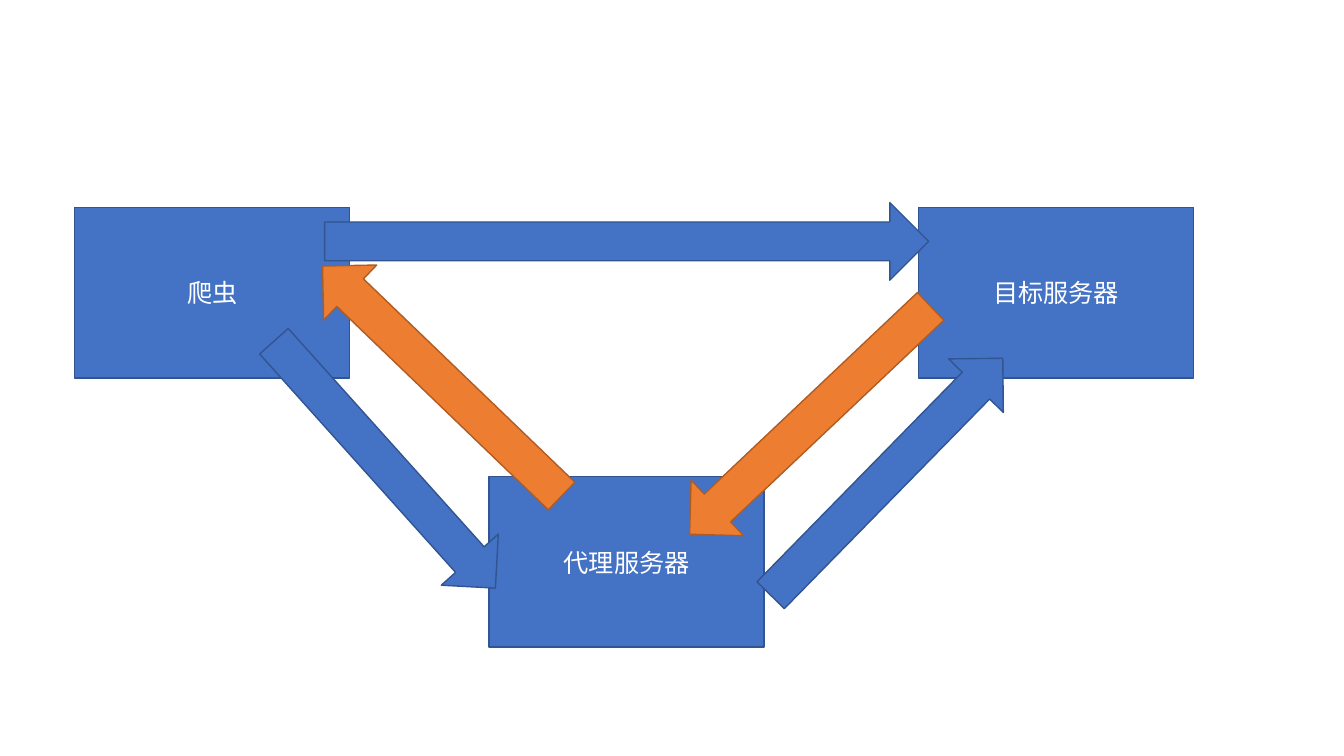
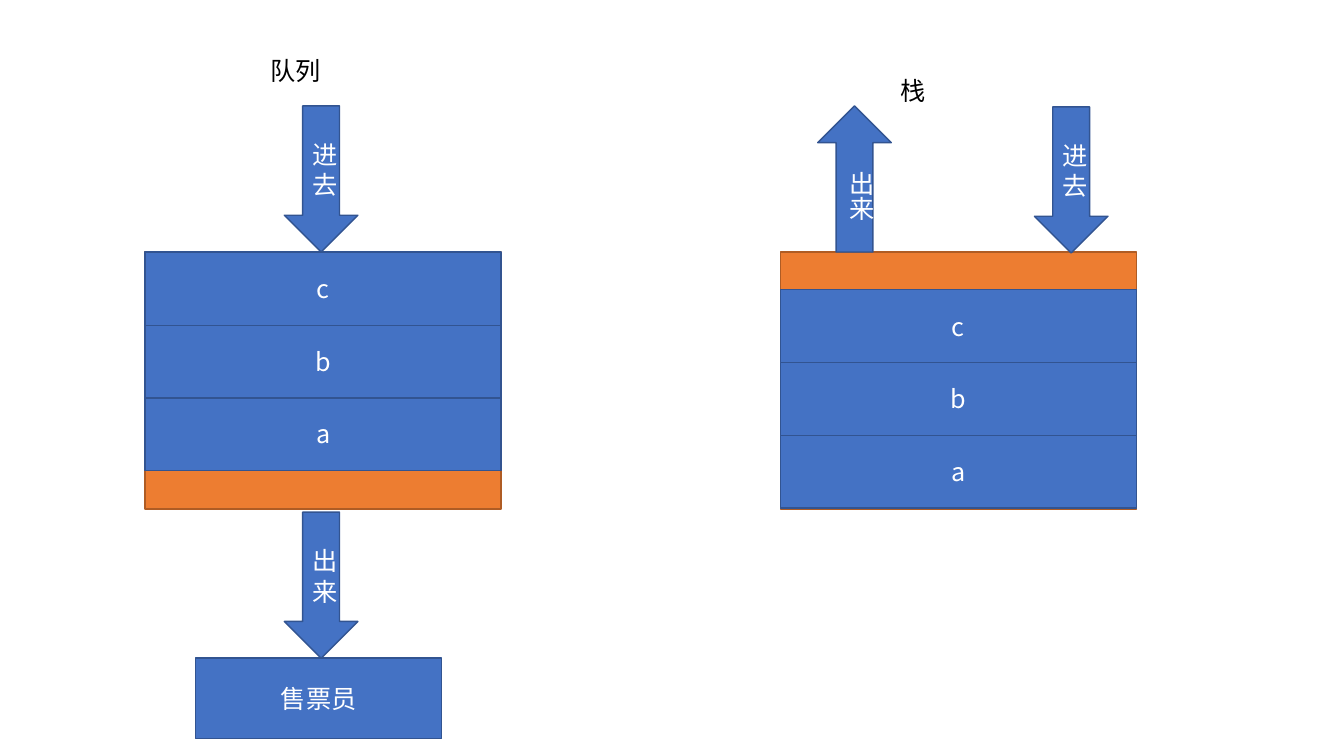
from lxml import etree
from pptx import Presentation
from pptx.dml.color import RGBColor
from pptx.enum import shapes, text
from pptx.oxml import ns
from pptx.util import Inches, Pt

FONT = "Noto Sans CJK SC"
WHITE, BLACK = "FFFFFF", "000000"
BLUE = ("4472C4", "325491")
ORANGE = ("ED7D31", "AF5C24")
KIND = shapes.MSO_SHAPE
NODE_W, NODE_H = 2.73, 1.69
BLOCK_W, BLOCK_H, BLOCK_STEP = 3.53, 0.73, 0.72
FRAME_TOP, FRAME_H = 2.5, 2.55
ARROW_W, ARROW_H = 0.73, 1.45


def rgb(value):
    return RGBColor.from_string(value)


def write(tf, words, color, align):
    p = tf.paragraphs[0]
    p.text = words
    p.alignment = align
    p.font.size = Pt(18)
    p.font.color.rgb = rgb(color)
    p.font.name = FONT
    props = p._p.pPr.find(ns.qn("a:defRPr"))
    etree.SubElement(props, ns.qn("a:ea"), typeface=FONT)


def add_box(parent, kind, at, words="", colors=BLUE, rotation=0):
    sp = parent.shapes.add_shape(kind, *map(Inches, at))
    sp.shadow.inherit = False
    sp.fill.solid()
    sp.fill.fore_color.rgb = rgb(colors[0])
    sp.line.color.rgb = rgb(colors[1])
    sp.line.width = Pt(1)
    sp.rotation = rotation
    if words:
        sp.text_frame.vertical_anchor = text.MSO_ANCHOR.MIDDLE
        write(sp.text_frame, words, WHITE, text.PP_ALIGN.CENTER)
    return sp


def add_label(s, at, words, color=BLACK, vertical=False):
    tf = s.shapes.add_textbox(*map(Inches, at)).text_frame
    tf.word_wrap = False
    tf.auto_size = text.MSO_AUTO_SIZE.SHAPE_TO_FIT_TEXT
    write(tf, words, color, text.PP_ALIGN.LEFT)
    if vertical:
        tf._txBody.bodyPr.set("vert", "eaVert")


def add_container(group, left, first_top):
    add_box(group, KIND.RECTANGLE, (left, FRAME_TOP, BLOCK_W, FRAME_H), colors=ORANGE)
    for row, name in reversed(list(enumerate("cba"))):
        top = first_top + row * BLOCK_STEP
        add_box(group, KIND.RECTANGLE, (left, top, BLOCK_W, BLOCK_H), name)


def add_down_arrow(group, left, top, words="", rotation=0):
    at = (left, top, ARROW_W, ARROW_H)
    add_box(group, KIND.DOWN_ARROW, at, words, rotation=rotation)


def build_proxy(s):
    for left, top, name in (
        (0.74, 2.06, "爬虫"),
        (9.11, 2.06, "目标服务器"),
        (4.85, 4.73, "代理服务器"),
    ):
        add_box(s, KIND.RECTANGLE, (left, top, NODE_W, NODE_H), name)
    for left, top, rotation, colors in (
        (2.17, 4.23, 48.1, BLUE),
        (7.15, 4.35, 314.4, BLUE),
        (6.39, 3.79, 136.6, ORANGE),
        (2.74, 3.4, 223.9, ORANGE),
    ):
        at = (left, top, 3.29, 0.76)
        add_box(s, KIND.RIGHT_ARROW, at, colors=colors, rotation=rotation)
    add_box(s, KIND.RIGHT_ARROW, (3.22, 2.01, 5.99, 0.77))


def build_queue_and_stack(s):
    queue = s.shapes.add_group_shape()
    add_container(queue, 1.44, FRAME_TOP)
    add_down_arrow(queue, 2.82, 1.05, "进去")
    add_down_arrow(queue, 2.82, 5.08, "出来")

    stack = s.shapes.add_group_shape()
    add_container(stack, 7.74, 2.87)
    add_down_arrow(stack, 10.26, 1.06, "进去")
    add_down_arrow(stack, 8.11, 1.05, rotation=180)

    add_label(s, (8.24, 1.6, 0.5, 0.61), "出来", WHITE, vertical=True)
    add_box(s, KIND.RECTANGLE, (1.94, 6.53, 2.44, 0.8), "售票员")
    add_label(s, (2.58, 0.5, 0.71, 0.4), "队列")
    add_label(s, (8.83, 0.7, 0.45, 0.4), "栈")


def main():
    prs = Presentation()
    prs.slide_width, prs.slide_height = Inches(13.33), Inches(7.5)
    for build in (build_proxy, build_queue_and_stack):
        build(prs.slides.add_slide(prs.slide_layouts[6]))
    prs.save("out.pptx")


if __name__ == "__main__":
    main()
